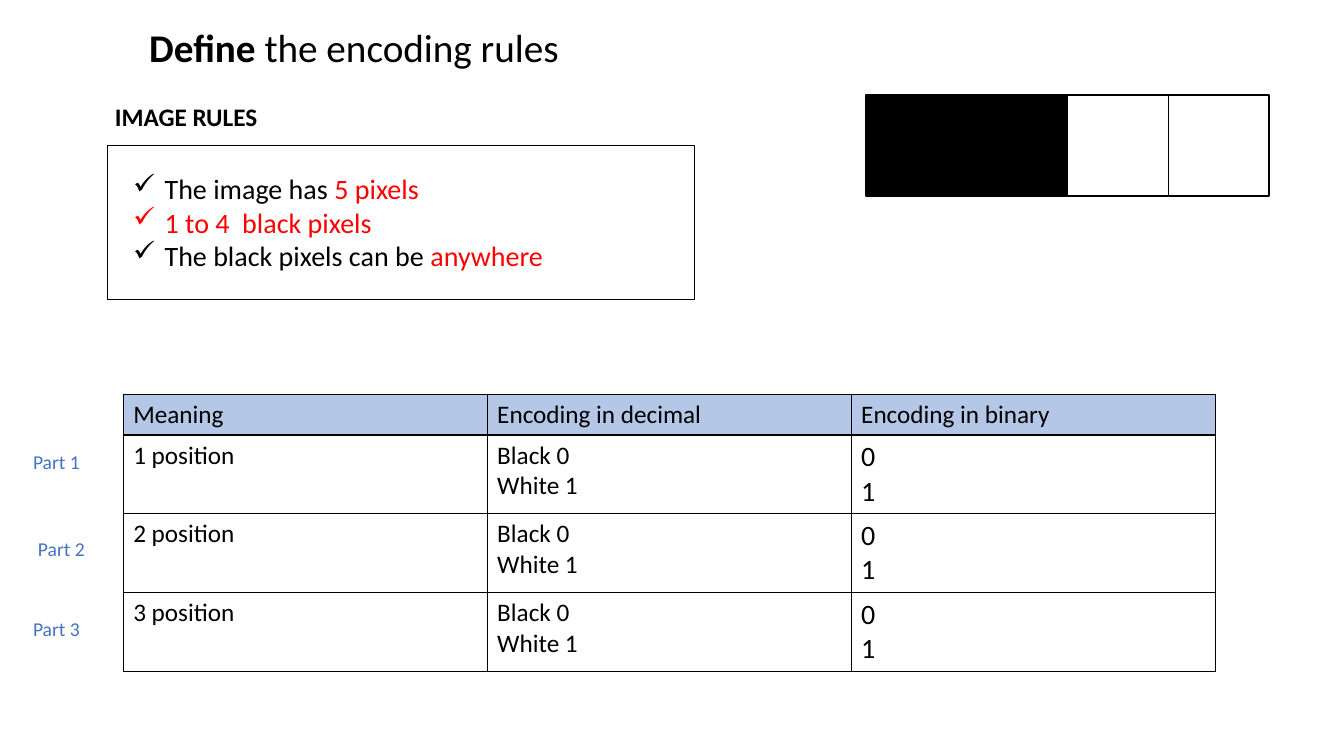
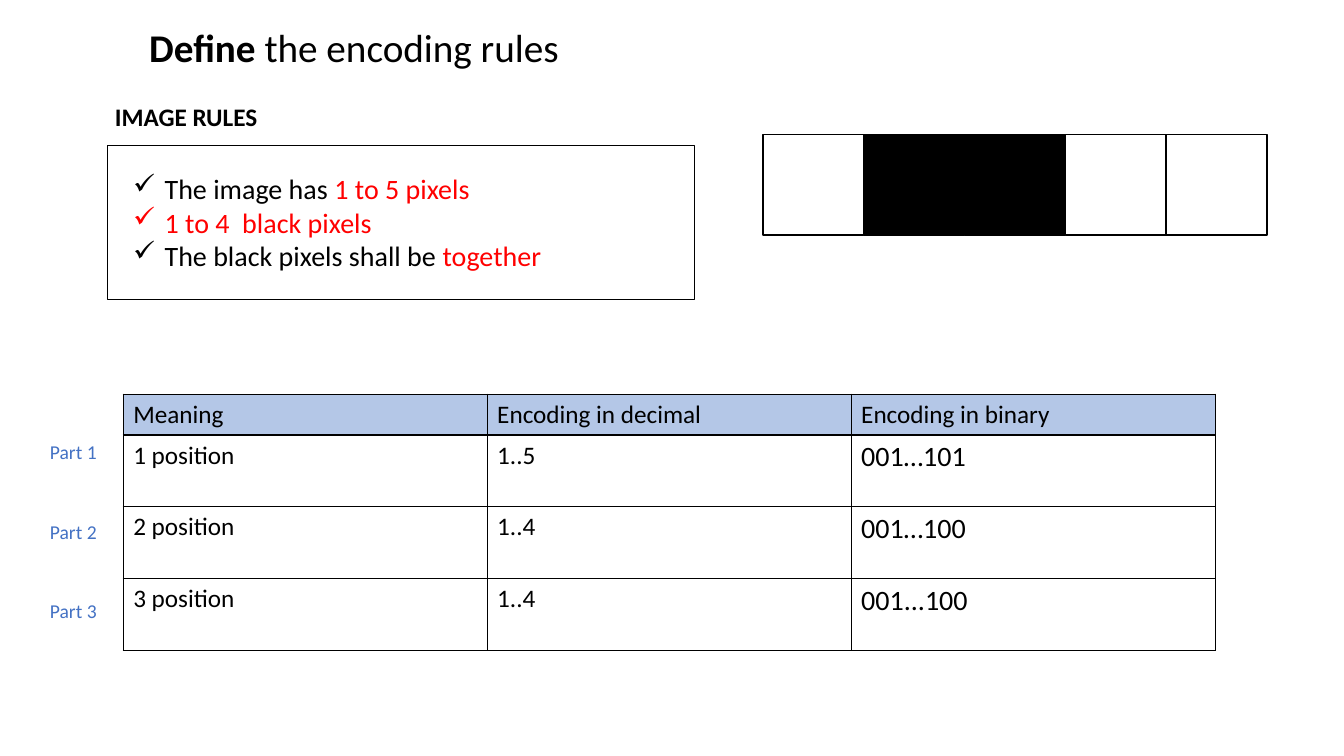
from dataclasses import dataclass

from lxml import etree
from pptx import Presentation
from pptx.dml.color import RGBColor
from pptx.enum import shapes, text
from pptx.oxml import ns
from pptx.util import Pt


@dataclass(frozen=True)
class Theme:
    font: str = "Calibri"
    black: str = "000000"
    white: str = "FFFFFF"
    red: str = "FF0000"
    blue: str = "4472C4"
    head: str = "B4C7E7"
    title: int = 28
    large: int = 20
    body: int = 18
    small: int = 14
    line: int = 1


T = Theme()
COLS = ("Meaning", "Encoding in decimal", "Encoding in binary")
BIT = ("Black 0\nWhite 1", "0\n1")

FREE = dict(
    rules=(
        (("The image has ", T.black), ("5 pixels", T.red)),
        (("1 to 4  black pixels", T.red),),
        (("The black pixels can be ", T.black), ("anywhere", T.red)),
    ),
    pixels="BBWW", start=(618.5, 68),
    rows=(("1 position", *BIT), ("2 position", *BIT), ("3 position", *BIT)),
    height=56.25,
    parts=((16.5, 317.5), (20, 380), (16.5, 437)),
)
JOINED = dict(
    rules=(
        (("The image has ", T.black), ("1 to 5 pixels", T.red)),
        (("1 to 4  black pixels", T.red),),
        (("The black pixels shall be ", T.black), ("together", T.red)),
    ),
    pixels="WBBWW", start=(545, 96),
    rows=(
        ("1 position", "1..5", "001…101"),
        ("2 position", "1..4", "001…100"),
        ("3 position", "1..4", "001...100"),
    ),
    height=51.25,
    parts=tuple((28.5, 311 + 56.5 * i) for i in range(3)),
)


def rgb(code):
    return RGBColor.from_string(code)


def style(font, size, color=T.black, bold=False):
    font.name, font.size, font.bold = T.font, Pt(size), bold
    font.color.rgb = rgb(color)


def add_box(slide, x, y, w, h, wrap=False):
    frame = slide.shapes.add_textbox(Pt(x), Pt(y), Pt(w), Pt(h)).text_frame
    frame.word_wrap = wrap
    frame.auto_size = text.MSO_AUTO_SIZE.SHAPE_TO_FIT_TEXT
    return frame


def add_label(slide, words, x, y, w, h, size, color=T.black, bold=False):
    para = add_box(slide, x, y, w, h).paragraphs[0]
    para.text = words
    style(para.font, size, color, bold)


def add_title(slide):
    para = add_box(slide, 99.5, 13, 324, 41, wrap=True).paragraphs[0]
    for words, bold in (("Define", True), (" the encoding rules", False)):
        run = para.add_run()
        run.text = words
        style(run.font, T.title, bold=bold)


def add_rect(slide, x, y, w, h, fill=None):
    rect = slide.shapes.add_shape(
        shapes.MSO_SHAPE.RECTANGLE, Pt(x), Pt(y), Pt(w), Pt(h))
    rect.shadow.inherit = False
    rect.line.color.rgb, rect.line.width = rgb(T.black), Pt(T.line)
    if fill:
        rect.fill.solid()
        rect.fill.fore_color.rgb = rgb(fill)
    else:
        rect.fill.background()


def add_check(para):
    props = para._p.get_or_add_pPr()
    props.set("marL", str(Pt(22.5)))
    props.set("indent", str(Pt(-22.5)))
    etree.SubElement(props, ns.qn("a:buChar")).set("char", "✓")


def add_rules(slide, rules):
    add_label(slide, "IMAGE RULES", 75, 69, 117.5, 29, T.body, bold=True)
    frame = add_box(slide, 88, 119, 312, 80)
    for i, parts in enumerate(rules):
        para = frame.add_paragraph() if i else frame.paragraphs[0]
        add_check(para)
        for words, color in parts:
            run = para.add_run()
            run.text = words
            style(run.font, T.large, color)
    add_rect(slide, 77, 104, 419, 110)


def add_pixels(slide, codes, start, side=72):
    """Draw a row of square pixels, B for black and W for white."""
    x, y = start
    for i, code in enumerate(codes):
        fill = T.black if code == "B" else T.white
        add_rect(slide, x + i * side, y, side, side, fill)


def add_edges(cell):
    """Line all four sides; borders must come before the cell's fill."""
    props = cell._tc.get_or_add_tcPr()
    for i, side in enumerate(("lnL", "lnR", "lnT", "lnB")):
        edge = etree.Element(ns.qn(f"a:{side}"), w=str(Pt(T.line)))
        fill = etree.SubElement(edge, ns.qn("a:solidFill"))
        etree.SubElement(fill, ns.qn("a:srgbClr"), val=T.black)
        props.insert(i, edge)


def fill_cell(cell, words, size, fill):
    cell.text = words
    for para in cell.text_frame.paragraphs:
        style(para.font, size)
    if fill:
        cell.fill.solid()
        cell.fill.fore_color.rgb = rgb(fill)
    else:
        cell.fill.background()
    add_edges(cell)


def add_table(slide, rows, height, top=29.25, width=260):
    grid = (COLS, *rows)
    table = slide.shapes.add_table(
        len(grid), len(COLS), Pt(88), Pt(281.5),
        Pt(width * len(COLS)), Pt(top + height * len(rows))).table
    table.first_row = table.horz_banding = False
    for col in table.columns:
        col.width = Pt(width)
    for r, row in enumerate(grid):
        table.rows[r].height = Pt(height if r else top)
        for c, words in enumerate(row):
            size = T.large if r and c == len(COLS) - 1 else T.body
            fill_cell(table.cell(r, c), words, size, None if r else T.head)


def add_slide(deck, rules, pixels, start, rows, height, parts):
    slide = deck.slides.add_slide(deck.slide_layouts[6])
    add_table(slide, rows, height)
    for i, (x, y) in enumerate(parts, 1):
        add_label(slide, f"Part {i}", x, y, 48, 24.5, T.small, T.blue)
    add_title(slide)
    add_rules(slide, rules)
    add_pixels(slide, pixels, start)


def main():
    deck = Presentation()
    deck.slide_width, deck.slide_height = Pt(960), Pt(540)
    for content in (FREE, JOINED):
        add_slide(deck, **content)
    deck.save("out.pptx")


if __name__ == "__main__":
    main()
